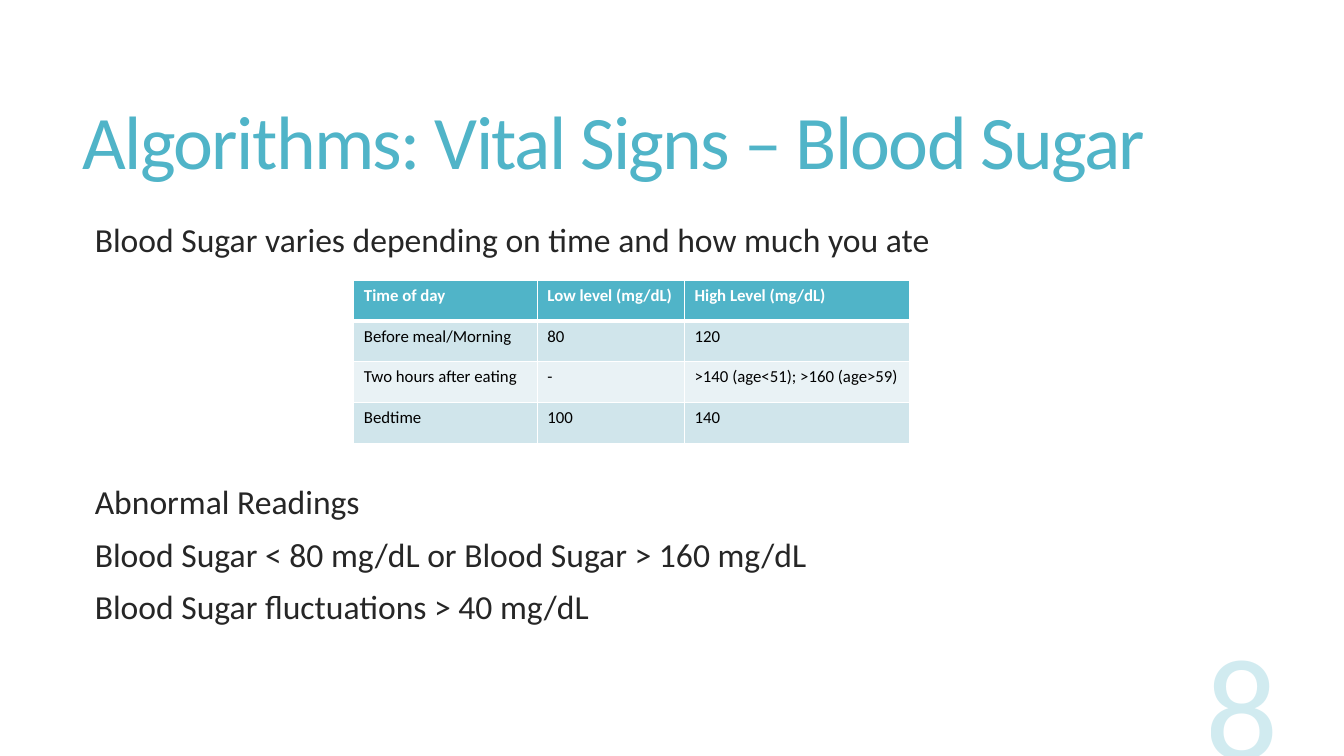
"""Build the blood sugar slide with its table of normal levels."""
from lxml.etree import SubElement
from pptx import Presentation
from pptx.dml.color import RGBColor
from pptx.enum.text import MSO_ANCHOR, MSO_AUTO_SIZE, PP_ALIGN
from pptx.oxml import parse_xml
from pptx.oxml.ns import nsdecls, qn
from pptx.util import Inches, Pt

TEAL = RGBColor(0x50, 0xB4, 0xC8)
DARK = RGBColor(0x26, 0x26, 0x26)
BLACK = RGBColor(0x00, 0x00, 0x00)
WHITE = RGBColor(0xFF, 0xFF, 0xFF)
BAND = RGBColor(0xD0, 0xE5, 0xEB)
PALE_BAND = RGBColor(0xE9, 0xF2, 0xF5)


def add_run(paragraph, text, size, color, bold=False):
    run = paragraph.add_run()
    run.text = text
    run.font.name = "Calibri"
    run.font.size = Pt(size)
    run.font.color.rgb = color
    run.font.bold = bold
    return run


def place(shape, left, top, width, height, anchor):
    shape.left, shape.top = Inches(left), Inches(top)
    shape.width, shape.height = Inches(width), Inches(height)
    shape.text_frame.word_wrap = True
    shape.text_frame.auto_size = MSO_AUTO_SIZE.NONE
    shape.text_frame.vertical_anchor = anchor


presentation = Presentation()
presentation.slide_width = Inches(13.33)
presentation.slide_height = Inches(7.5)
slide = presentation.slides.add_slide(presentation.slide_layouts[1])

title = slide.shapes.title
place(title, 0.72, 0.55, 11.78, 1.81, MSO_ANCHOR.MIDDLE)
paragraph = title.text_frame.paragraphs[0]
paragraph.alignment = PP_ALIGN.LEFT
paragraph.line_spacing = 0.85
title_run = add_run(paragraph, "Algorithms: Vital Signs – Blood Sugar", 54, TEAL)
title_run.font._element.set("spc", "-120")

body = slide.placeholders[1]
place(body, 0.74, 2.18, 10.93, 4.12, MSO_ANCHOR.TOP)
body_lines = [
    ("Blood Sugar varies depending on time and how much you ate", 13),
    ("Abnormal Readings", 163),
    ("Blood Sugar < 80 mg/dL or Blood Sugar > 160 mg/dL", 13),
    ("Blood Sugar fluctuations > 40 mg/dL", 13),
]
for index, (text, space_before) in enumerate(body_lines):
    frame = body.text_frame
    paragraph = frame.add_paragraph() if index else frame.paragraphs[0]
    paragraph.line_spacing = 0.85
    paragraph.space_before = Pt(space_before)
    properties = paragraph._p.get_or_add_pPr()
    properties.set("marL", str(Inches(0.1)))
    properties.set("indent", "0")
    SubElement(properties, qn("a:buNone"))
    add_run(paragraph, text, 24, DARK)

levels = [
    ["Time of day", "Low level (mg/dL)", "High Level (mg/dL)"],
    ["Before meal/Morning", "80", "120"],
    ["Two hours after eating", "-", ">140 (age<51); >160 (age>59)"],
    ["Bedtime", "100", "140"],
]
row_fills = [TEAL, BAND, PALE_BAND, BAND]
table = slide.shapes.add_table(
    4, 3, Inches(3.51), Inches(2.78), Inches(5.5), Inches(1.62)
).table
for column, width in zip(table.columns, [1.82, 1.46, 2.23]):
    column.width = Inches(width)
for row_index, (row, fill) in enumerate(zip(levels, row_fills)):
    table.rows[row_index].height = Inches(0.405)
    is_header = row_index == 0
    for column_index, text in enumerate(row):
        cell = table.cell(row_index, column_index)
        add_run(cell.text_frame.paragraphs[0], text, 12,
                WHITE if is_header else BLACK, is_header)
        cell_properties = cell._tc.get_or_add_tcPr()
        for side in "LRTB":
            heavy = (row_index, side) in [(0, "B"), (1, "T")]
            cell_properties.append(parse_xml(
                f'<a:ln{side} {nsdecls("a")} w="{Pt(3 if heavy else 1)}">'
                f'<a:solidFill><a:srgbClr val="{WHITE}"/></a:solidFill></a:ln{side}>'
            ))
        cell.fill.solid()
        cell.fill.fore_color.rgb = fill

page_number = slide.shapes.add_textbox(0, 0, 0, 0)
place(page_number, 9.58, 6.34, 3.2, 1.53, MSO_ANCHOR.BOTTOM)
paragraph = page_number.text_frame.paragraphs[0]
paragraph.alignment = PP_ALIGN.RIGHT
number_run = add_run(paragraph, "8", 103, TEAL)
number_color = number_run.font._element.find(".//" + qn("a:srgbClr"))
SubElement(number_color, qn("a:alpha"), val="25000")

presentation.save("out.pptx")
